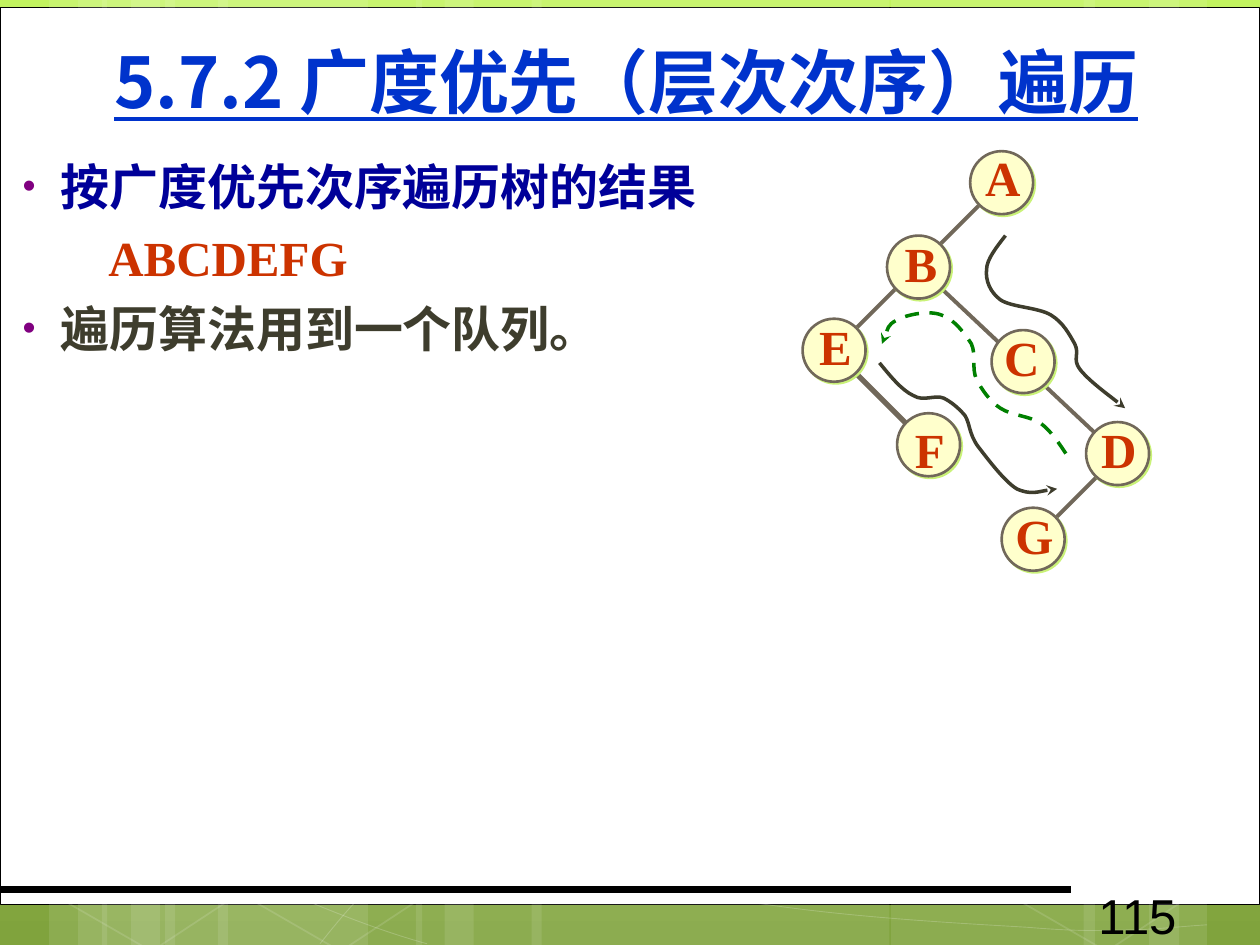
from dataclasses import dataclass

from lxml import etree
from pptx import Presentation
from pptx.dml.color import RGBColor
from pptx.enum.dml import MSO_LINE
from pptx.enum.shapes import MSO_CONNECTOR, MSO_SHAPE
from pptx.enum.text import MSO_ANCHOR, MSO_AUTO_SIZE, PP_ALIGN
from pptx.oxml.ns import qn
from pptx.util import Inches, Pt

STRAIGHT = MSO_CONNECTOR.STRAIGHT
RECTANGLE, OVAL, HEXAGON = MSO_SHAPE.RECTANGLE, MSO_SHAPE.OVAL, MSO_SHAPE.HEXAGON
CENTER, MIDDLE, TOP = PP_ALIGN.CENTER, MSO_ANCHOR.MIDDLE, MSO_ANCHOR.TOP
NO_AUTOFIT, DASH = MSO_AUTO_SIZE.NONE, MSO_LINE.DASH

LIME, OLIVE = RGBColor(0xC2, 0xF3, 0x5F), RGBColor(0x80, 0xA3, 0x3D)
WHITE, BLACK = RGBColor(0xFF, 0xFF, 0xFF), RGBColor(0, 0, 0)
BLUE, NAVY = RGBColor(0, 0x33, 0xCC), RGBColor(0, 0, 0x99)
RED, GREEN = RGBColor(0xCC, 0x33, 0), RGBColor(0, 0x80, 0)
DARK, BROWN = RGBColor(0x3E, 0x3D, 0x2D), RGBColor(0x71, 0x68, 0x5A)
CREAM = RGBColor(0xFF, 0xFF, 0xCC)
SANS, SERIF = "Noto Sans CJK JP", "Times New Roman"
NODE_SIZE = 0.5


@dataclass
class Node:
    label: str
    left: float
    top: float
    label_dx: float = 0.01
    label_dy: float = -0.07


@dataclass
class Edge:
    start: tuple[float, float]
    end: tuple[float, float]
    width: float = 2.25


@dataclass
class Curve:
    """Cubic curve: a start point, then two controls and an end per segment."""
    points: list[tuple[float, float]]
    color: RGBColor
    width: float = 2
    dashed: bool = False
    arrow: bool = True
    opacity: int = 100


@dataclass
class Line:
    text: str
    color: RGBColor
    bulleted: bool = True


BANDS = [(1.31, 1.61), (0.39, 0.46), (0.62, 0.77), (1.73, 1.62), (0.81, 0.46), (1.04, 0.77),
         (7.07, 1.62), (9.12, 0.46), (8.6, 0.76), (4.22, 2.84), (3.3, 0.46), (3.53, 0.77)]
HEXAGON_LEFTS = [0.41, 1.91, 7.99]
BACKGROUND_CURVES = [
    [(0.36, 6.17), (1.47, 6.72), (2.58, 7.27), (3.39, 7.49)],
    [(0.37, 5.78), (0.66, 5.89), (0.95, 6), (1.49, 6.16), (2.02, 6.31), (2.82, 6.56),
     (3.59, 6.73), (4.36, 6.9), (5.33, 7.08), (6.09, 7.18), (6.85, 7.29), (7.67, 7.33),
     (8.16, 7.36), (8.64, 7.4), (8.77, 7.38), (9.01, 7.38), (9.24, 7.37), (9.41, 7.35),
     (9.58, 7.34)],
    [(2.54, 7.49), (2.7, 7.29), (2.86, 7.09), (3.09, 6.91), (3.31, 6.72), (3.62, 6.53),
     (3.88, 6.39), (4.13, 6.25), (4.29, 6.19), (4.63, 6.09), (4.97, 5.99), (5.59, 5.85),
     (5.91, 5.78), (6.23, 5.71), (6.28, 5.71), (6.57, 5.69)],
]
EDGES = [Edge((8.79, 3.7), (8.29, 4.2)), Edge((6.7, 2.87), (7.2, 3.37), 3),
         Edge((7.87, 1.53), (6.7, 2.7)), Edge((7.45, 2.27), (8.79, 3.53))]
NODES = [Node("A", 7.7, 1.2, label_dy=-0.08), Node("B", 7.04, 1.87, 0.02),
         Node("C", 7.87, 2.62, -0.01), Node("D", 8.62, 3.35), Node("E", 6.37, 2.53),
         Node("F", 7.12, 3.28, label_dy=0), Node("G", 7.95, 4.03)]
VISIT_ORDER = [
    Curve([(7.98, 1.87), (7.91, 1.96), (7.83, 2.06), (7.83, 2.14), (7.82, 2.23), (7.86, 2.32),
           (7.94, 2.38), (8.03, 2.44), (8.24, 2.44), (8.34, 2.5), (8.44, 2.56), (8.49, 2.66),
           (8.53, 2.73), (8.57, 2.81), (8.51, 2.85), (8.57, 2.93), (8.64, 3.02), (8.87, 3.19),
           (8.93, 3.24)], DARK),
    Curve([(8.46, 3.6), (8.4, 3.51), (8.34, 3.42), (8.26, 3.36), (8.17, 3.3), (8.03, 3.3),
           (7.94, 3.24), (7.86, 3.19), (7.79, 3.09), (7.75, 3.01), (7.71, 2.92), (7.75, 2.82),
           (7.71, 2.73), (7.66, 2.65), (7.57, 2.53), (7.47, 2.5), (7.37, 2.46), (7.19, 2.5),
           (7.12, 2.54), (7.04, 2.58), (7.02, 2.7), (7, 2.73)], GREEN, dashed=True),
    Curve([(6.98, 2.88), (7.07, 2.99), (7.16, 3.1), (7.25, 3.14), (7.33, 3.19), (7.42, 3.13),
           (7.49, 3.16), (7.55, 3.19), (7.61, 3.24), (7.66, 3.3), (7.7, 3.37), (7.69, 3.44),
           (7.76, 3.54), (7.83, 3.63), (7.97, 3.82), (8.07, 3.88), (8.18, 3.93), (8.34, 3.88),
           (8.39, 3.88)], DARK),
]
LINES = [Line("按广度优先次序遍历树的结果", NAVY), Line("ABCDEFG", RED, bulleted=False),
         Line("遍历算法用到一个队列。", DARK)]


def add_child(parent, tag: str, **attributes: str):
    return etree.SubElement(parent, qn(tag), attributes)


def set_opacity(shape, percent: int) -> None:
    for color in shape.element.spPr.iter(qn("a:srgbClr")):
        add_child(color, "a:alpha", val=str(percent * 1000))


def place(shape, left: float, top: float, width: float, height: float) -> None:
    shape.left, shape.top = Inches(left), Inches(top)
    shape.width, shape.height = Inches(width), Inches(height)


def add_run(paragraph, text: str, size: float, font: str, color: RGBColor, bold=True):
    run = paragraph.add_run()
    run.text = text
    run.font.size, run.font.bold, run.font.name = Pt(size), bold, font
    run.font.color.rgb = color
    add_child(run.font._element, "a:ea", typeface=SANS)
    return run


def add_panel(slide, kind, left, top, width, height, fill=None, line=None, line_width=1.0):
    shape = slide.shapes.add_shape(kind, Inches(left), Inches(top), Inches(width), Inches(height))
    shape.shadow.inherit = False
    if fill is None:
        shape.fill.background()
    else:
        shape.fill.solid()
        shape.fill.fore_color.rgb = fill
    if line is None:
        shape.line.fill.background()
    else:
        shape.line.color.rgb, shape.line.width = line, Pt(line_width)
    return shape


def add_edge(slide, edge: Edge, color: RGBColor) -> None:
    start, end = map(Inches, edge.start), map(Inches, edge.end)
    connector = slide.shapes.add_connector(STRAIGHT, *start, *end)
    connector.line.color.rgb, connector.line.width = color, Pt(edge.width)
    add_child(connector.element.spPr, "a:effectLst")


def add_curve(slide, curve: Curve) -> None:
    points = [(Inches(x), Inches(y)) for x, y in curve.points]
    builder = slide.shapes.build_freeform(*points[0])
    builder.add_line_segments(points[1:], close=False)
    shape = builder.convert_to_shape()
    outline = next(shape.element.iter(qn("a:path")))
    segments = outline.findall(qn("a:lnTo"))
    for first in range(0, len(segments), 3):
        bezier = add_child(outline, "a:cubicBezTo")
        for segment in segments[first:first + 3]:
            bezier.append(segment[0])
            outline.remove(segment)
    shape.shadow.inherit = False
    shape.fill.background()
    shape.line.color.rgb, shape.line.width = curve.color, Pt(curve.width)
    if curve.dashed:
        shape.line.dash_style = DASH
    if curve.arrow:
        add_child(shape.element.spPr.find(qn("a:ln")), "a:tailEnd", type="stealth")
    if curve.opacity < 100:
        set_opacity(shape, curve.opacity)


def add_text(slide, text, left, top, width, height, font, color, bold, align, anchor) -> None:
    box = slide.shapes.add_textbox(Inches(left), Inches(top), Inches(width), Inches(height))
    box.text_frame.word_wrap, box.text_frame.vertical_anchor = False, anchor
    paragraph = box.text_frame.paragraphs[0]
    paragraph.alignment = align
    add_run(paragraph, text, 28, font, color, bold)


def add_node(slide, node: Node) -> None:
    circle = add_panel(slide, OVAL, node.left, node.top, NODE_SIZE, NODE_SIZE, CREAM, BROWN, 1.5)
    shadow = add_child(circle.element.spPr.find(qn("a:effectLst")), "a:outerShdw",
                       dist=str(Pt(1.4)), dir="2700000", algn="ctr", rotWithShape="0")
    add_child(shadow, "a:srgbClr", val="CAF278")
    add_text(slide, node.label, node.left + node.label_dx, node.top + node.label_dy,
             NODE_SIZE, 0.57, SERIF, RED, True, CENTER, MIDDLE)


def add_background(slide) -> None:
    fill = slide.background.fill
    fill.gradient()
    fill.gradient_angle = 270
    for stop, color in zip(fill.gradient_stops, (LIME, OLIVE)):
        stop.color.rgb = color
    add_panel(slide, RECTANGLE, 0, 0.06, 10, 7.12, WHITE, BLACK, 0.5)
    for left, width in BANDS:
        set_opacity(add_panel(slide, RECTANGLE, left, 0, width, 7.5, WHITE), 10)
    for points in BACKGROUND_CURVES:
        add_curve(slide, Curve(points, WHITE, 0.5, arrow=False, opacity=20))
    for left in HEXAGON_LEFTS:
        hexagon = add_panel(slide, HEXAGON, left, 5.92, 1.61, 1.52, line=WHITE)
        hexagon.rotation = 30
        set_opacity(hexagon, 12)
    add_edge(slide, Edge((0, 7.06), (8.5, 7.06), 4.5), BLACK)


def fill_title(slide) -> None:
    title = slide.shapes.title
    place(title, 0.47, 0.02, 9, 1.24)
    frame = title.text_frame
    frame.auto_size, frame.vertical_anchor = NO_AUTOFIT, MIDDLE
    frame.margin_left = frame.margin_right = frame.margin_top = frame.margin_bottom = 0
    frame.paragraphs[0].alignment = CENTER
    add_run(frame.paragraphs[0], "5.7.2 广度优先（层次次序）遍历", 40, SANS, BLUE).font.underline = True
    slide.shapes.element.append(title.element)


def fill_body(slide) -> None:
    body = slide.placeholders[1]
    place(body, 0, 1.19, 8.81, 5.24)
    frame = body.text_frame
    frame.auto_size, frame.vertical_anchor = NO_AUTOFIT, TOP
    for index, line in enumerate(LINES):
        paragraph = frame.add_paragraph() if index else frame.paragraphs[0]
        paragraph.space_before = Pt(7 if index else 0)
        properties = paragraph._element.get_or_add_pPr()
        properties.set("marL", str(Inches(0.38 if line.bulleted else 0.76)))
        properties.set("indent", str(Inches(-0.3 if line.bulleted else 0)))
        if line.bulleted:
            add_child(add_child(properties, "a:buClr"), "a:srgbClr", val="800080")
            add_child(properties, "a:buSzPct", val="76000")
            add_child(properties, "a:buChar", char="•")
        else:
            add_child(properties, "a:buNone")
        add_run(paragraph, line.text, 28, SERIF, line.color)
    slide.shapes.element.append(body.element)


def main() -> None:
    presentation = Presentation()
    presentation.slide_width, presentation.slide_height = Inches(10), Inches(7.5)
    slide = presentation.slides.add_slide(presentation.slide_layouts[1])
    add_background(slide)
    fill_title(slide)
    fill_body(slide)
    add_text(slide, "115", 8.62, 6.98, 1.46, 0.4, "Arial", BLACK, False, PP_ALIGN.LEFT, TOP)
    for edge in EDGES:
        add_edge(slide, edge, BROWN)
    for node in NODES:
        add_node(slide, node)
    for curve in VISIT_ORDER:
        add_curve(slide, curve)
    presentation.save("out.pptx")


if __name__ == "__main__":
    main()
